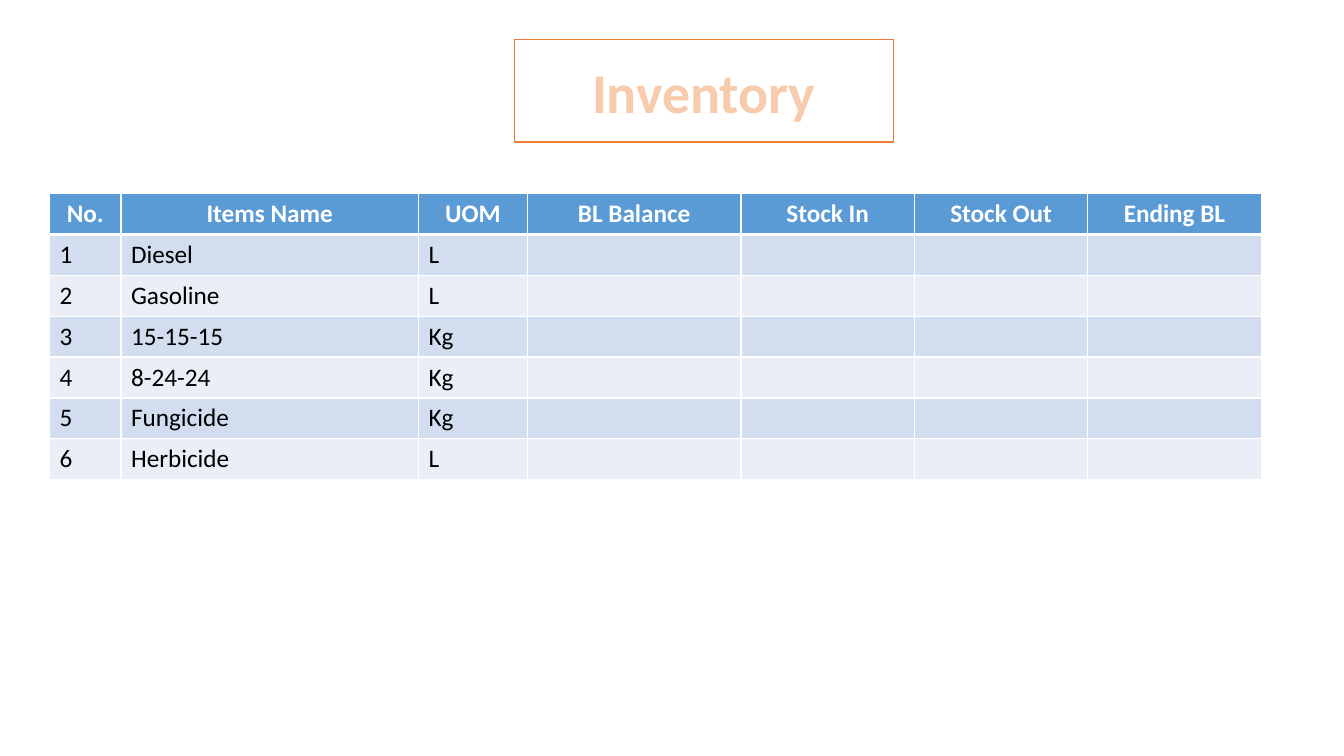
from lxml.etree import SubElement
from pptx import Presentation
from pptx.dml.color import RGBColor
from pptx.enum.text import MSO_ANCHOR, MSO_AUTO_SIZE, PP_ALIGN
from pptx.oxml.ns import qn
from pptx.util import Inches, Pt

WHITE, BLACK = "FFFFFF", "000000"
ORANGE, PEACH = "ED7D31", "F8CBAD"
HEADER_BLUE = "5B9BD5"
BANDS = ("D2DEEF", "EAEFF7")

HEADINGS = ("No.", "Items Name", "UOM", "BL Balance", "Stock In", "Stock Out", "Ending BL")
COLUMN_WIDTHS = (0.71, 2.95, 1.08, 2.12, 1.72, 1.72, 1.72)
ITEMS = (
    ("Diesel", "L"),
    ("Gasoline", "L"),
    ("15-15-15", "Kg"),
    ("8-24-24", "Kg"),
    ("Fungicide", "Kg"),
    ("Herbicide", "L"),
)


def colour(hex_value):
    return RGBColor.from_string(hex_value)


def format_font(font, hex_value, **values):
    font.color.rgb = colour(hex_value)
    for name, value in {"name": "Calibri", **values}.items():
        setattr(font, name, value)


def add_line(parent, tag, hex_value, points):
    line = SubElement(parent, qn(tag), w=str(Pt(points)))
    fill = SubElement(line, qn("a:solidFill"))
    SubElement(fill, qn("a:srgbClr"), val=hex_value)
    return line


def add_title(slide, left, top, width, height):
    title = slide.shapes.title
    box = {"left": left, "top": top, "width": width, "height": height}
    for side, length in box.items():
        setattr(title, side, Inches(length))
    title.fill.solid()
    title.fill.fore_color.rgb = colour(WHITE)
    title.line.color.rgb = colour(ORANGE)
    title.line.width = Pt(1)

    frame = title.text_frame
    frame.auto_size = MSO_AUTO_SIZE.NONE
    frame.vertical_anchor = MSO_ANCHOR.MIDDLE
    heading = frame.paragraphs[0]
    heading.alignment = PP_ALIGN.CENTER
    run = heading.add_run()
    run.text = "Inventory"
    format_font(run.font, PEACH, size=Pt(40), bold=True)
    # The letter outline comes first among the run properties
    properties = run._r.get_or_add_rPr()
    properties.insert(0, add_line(properties, "a:ln", ORANGE, 1.75))


def format_cell(cell, text, row):
    is_header = row == 0
    # White borders, heavier under the header
    borders = {"L": 1, "R": 1, "T": 3 if row == 1 else 1, "B": 3 if is_header else 1}
    for side, points in borders.items():
        add_line(cell._tc.get_or_add_tcPr(), f"a:ln{side}", WHITE, points)
    cell.fill.solid()
    cell.fill.fore_color.rgb = colour(HEADER_BLUE if is_header else BANDS[(row - 1) % 2])

    cell.text = text
    paragraph = cell.text_frame.paragraphs[0]
    paragraph.alignment = PP_ALIGN.CENTER if is_header else PP_ALIGN.LEFT
    format_font(paragraph.font, WHITE if is_header else BLACK, size=Pt(18), bold=is_header)
    for run in paragraph.runs:
        format_font(run.font, WHITE if is_header else BLACK, size=Pt(18), bold=is_header)


def add_inventory(slide, left, top, width, height):
    blanks = ("",) * (len(HEADINGS) - 3)
    rows = [HEADINGS]
    rows += [(str(number), *item, *blanks) for number, item in enumerate(ITEMS, 1)]
    box = [Inches(length) for length in (left, top, width, height)]
    inventory = slide.shapes.add_table(len(rows), len(HEADINGS), *box).table
    for column, column_width in zip(inventory.columns, COLUMN_WIDTHS):
        column.width = Inches(column_width)
    for row, texts in enumerate(rows):
        for column, text in enumerate(texts):
            format_cell(inventory.cell(row, column), text, row)


def main():
    deck = Presentation()
    deck.slide_width, deck.slide_height = Inches(13.33), Inches(7.5)
    slide = deck.slides.add_slide(deck.slide_layouts[5])
    add_title(slide, 5.1, 0.39, 3.76, 1.02)
    add_inventory(slide, 0.49, 1.92, sum(COLUMN_WIDTHS), 2.84)
    deck.save("out.pptx")


if __name__ == "__main__":
    main()
